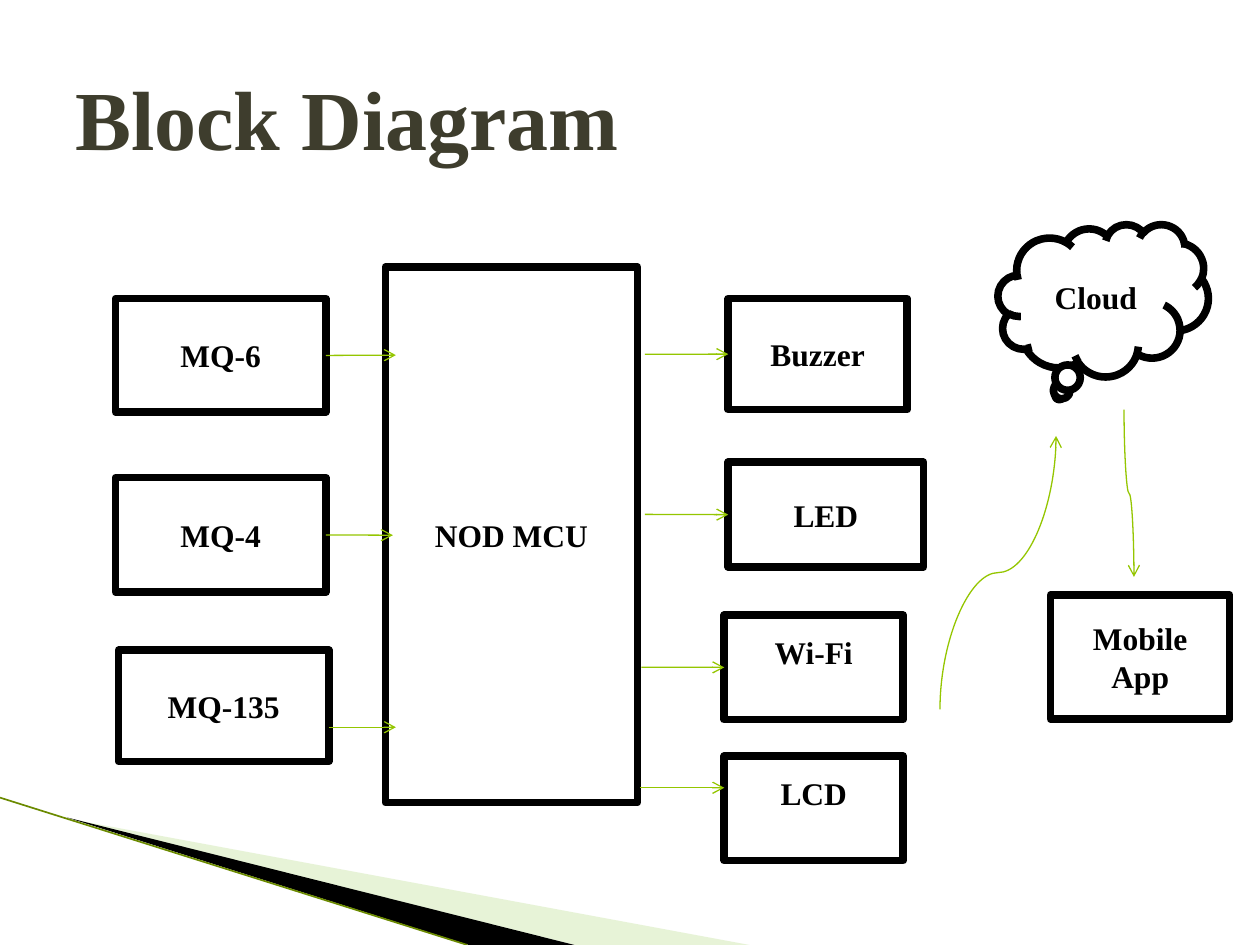
from lxml import etree
from pptx import Presentation
from pptx.dml.color import RGBColor
from pptx.enum.shapes import MSO_CONNECTOR as CONN, MSO_SHAPE as SHAPE
from pptx.enum.text import MSO_ANCHOR as ANCHOR, MSO_AUTO_SIZE as AUTO, PP_ALIGN as ALIGN
from pptx.oxml.ns import qn
from pptx.util import Cm, Pt

BLACK, WHITE, GREEN = "000000", "FFFFFF", "94C600"
LEFT, RIGHT = 1, 3  # connection sites of a rectangle
BOX_FONT = {"name": "Times New Roman", "size": Pt(18), "bold": True}
TITLE_FONT = {"name": "Times New Roman", "size": Pt(48), "bold": True}


def rgb(value):
    return RGBColor.from_string(value)


def format_font(p, values, color):
    for name, value in values.items():
        setattr(p.font, name, value)
    p.font.color.rgb = rgb(color)


def add_block(s, text, x, y, w, h, kind=SHAPE.RECTANGLE, top_inset=None):
    """Outlined block; with a top inset its label hangs from the upper edge."""
    sp = s.shapes.add_shape(kind, Cm(x), Cm(y), Cm(w), Cm(h))
    sp.shadow.inherit = False
    sp.fill.solid()
    sp.fill.fore_color.rgb = rgb(WHITE)
    sp.line.color.rgb = rgb(BLACK)
    sp.line.width = Pt(4.33)
    tf = sp.text_frame
    tf.word_wrap = True
    tf.vertical_anchor = ANCHOR.MIDDLE
    if top_inset:
        tf.vertical_anchor = ANCHOR.TOP
        tf.margin_top = Cm(top_inset)
    tf.text = text
    for p in tf.paragraphs:
        p.alignment = ALIGN.CENTER
        format_font(p, BOX_FONT, BLACK)
    return sp


def add_line(s, x1, y1, x2, y2, kind=CONN.STRAIGHT, color=GREEN, width=0.75, arrow=True):
    c = s.shapes.add_connector(kind, Cm(x1), Cm(y1), Cm(x2), Cm(y2))
    c.line.color.rgb = rgb(color)
    c.line.width = Pt(width)
    if arrow:
        etree.SubElement(c.line._get_or_add_ln(), qn("a:tailEnd"), type="arrow")
    etree.SubElement(c._element.spPr, qn("a:effectLst"))
    return c


def add_rising_curve(s, x1, y1, x2, y2):
    """Curved arrow leaving and arriving vertically: a horizontal one turned by 90 degrees."""
    cx, cy = (x1 + x2) / 2, (y1 + y2) / 2
    dx, dy = (x2 - x1) / 2, (y2 - y1) / 2
    c = add_line(s, cx - dy, cy + dx, cx + dy, cy - dx, CONN.CURVE)
    c._element.spPr.find(qn("a:xfrm")).set("rot", str(90 * 60000))


def add_wedge(s, points, color, alpha=None):
    (x0, y0), *rest = [(Cm(x), Cm(y)) for x, y in points]
    builder = s.shapes.build_freeform(x0, y0)
    builder.add_line_segments(rest, close=True)
    sp = builder.convert_to_shape()
    sp.shadow.inherit = False
    sp.fill.solid()
    sp.fill.fore_color.rgb = rgb(color)
    sp.line.fill.background()
    if alpha:
        clr = sp._element.spPr.find(qn("a:solidFill"))[0]
        etree.SubElement(clr, qn("a:alpha"), val=str(alpha * 1000))


def add_corner(s, x, y):
    """Wedges and edge line in the lower left corner."""
    bottom = y + 2.97
    add_wedge(s, [(x + 1.4, y + 0.43), (x + 15.11, bottom), (x + 11.58, bottom)], "C3E19D", 40)
    add_wedge(s, [(x + 1.35, y + 0.4), (x + 11.58, bottom), (x + 9.45, bottom)], BLACK)
    add_line(s, x, y, x + 9.42, bottom, color="6B8A00", width=0.95, arrow=False)


def add_title(s, text, x, y, w, h):
    sp = s.shapes.title
    sp.left, sp.top, sp.width, sp.height = Cm(x), Cm(y), Cm(w), Cm(h)
    tf = sp.text_frame
    tf.text = text
    tf.auto_size = AUTO.NONE
    tf.vertical_anchor = ANCHOR.MIDDLE
    p = tf.paragraphs[0]
    p.alignment = ALIGN.LEFT
    format_font(p, TITLE_FONT, "3E3D2D")


def add_sensors(s, x, y, w):
    """Input column: label, shift, top, height, arrow height, arrow end, joined."""
    rows = [("MQ-6", 0, 0, 2.29, 1.14, 5.65, True),
            ("MQ-4", 0, 3.61, 2.31, 4.77, 5.59, True),
            ("MQ-135", 0.06, 7.09, 2.24, 8.64, 5.65, False)]
    for text, dx, top, h, arrow_y, end, joined in rows:
        sp = add_block(s, text, x + dx, y + top, w, h)
        c = add_line(s, x + dx + w, y + arrow_y, x + end, y + arrow_y)
        if joined:
            c.begin_connect(sp, RIGHT)


def add_outputs(s, x, y, h):
    """Output column: label, shift, top, width, extra height, inset, arrow start, arrow height, joined."""
    rows = [("Buzzer", 0.08, 0, 3.61, 0.13, None, -1.6, 1.12, True),
            ("LED", 0.08, 3.3, 3.94, 0, None, -1.6, 4.35, True),
            ("Wi-Fi", 0, 6.38, 3.61, 0, 0.36, -1.67, 7.43, True),
            ("LCD", 0, 9.22, 3.61, 0, 0.36, -1.7, 9.86, False)]
    for text, dx, top, w, extra, inset, start, arrow_y, joined in rows:
        sp = add_block(s, text, x + dx, y + top, w, h + extra, top_inset=inset)
        c = add_line(s, x + start, y + arrow_y, x + dx, y + arrow_y)
        if joined:
            c.end_connect(sp, LEFT)


def add_cloud_link(s, x, y):
    """Cloud, mobile app and the curved arrows between them."""
    add_block(s, "Mobile\nApp", x + 1.06, y + 7.47, 3.61, 2.51)
    add_rising_curve(s, x - 1.17, y + 9.78, x + 1.17, y + 4.27)
    add_rising_curve(s, x + 2.54, y + 3.74, x + 2.74, y + 7.11)
    add_block(s, "Cloud", x, y, 4.24, 3.07, SHAPE.CLOUD_CALLOUT)


def main():
    prs = Presentation()
    prs.slide_width, prs.slide_height = Cm(25.4), Cm(19.05)
    s = prs.slides.add_slide(prs.slide_layouts[5])
    add_corner(s, 0, 16.08)
    add_title(s, "Block Diagram", 1.27, 0.76, 22.86, 3.18)
    # Controller first, so that the sensor arrows lie over its edge
    add_block(s, "NOD MCU", 7.77, 5.38, 5.08, 10.8)
    add_sensors(s, 2.33, 6.02, 4.24)
    add_outputs(s, 14.6, 6.02, 2.11)
    add_cloud_link(s, 20.12, 4.52)
    prs.save("out.pptx")


if __name__ == "__main__":
    main()
